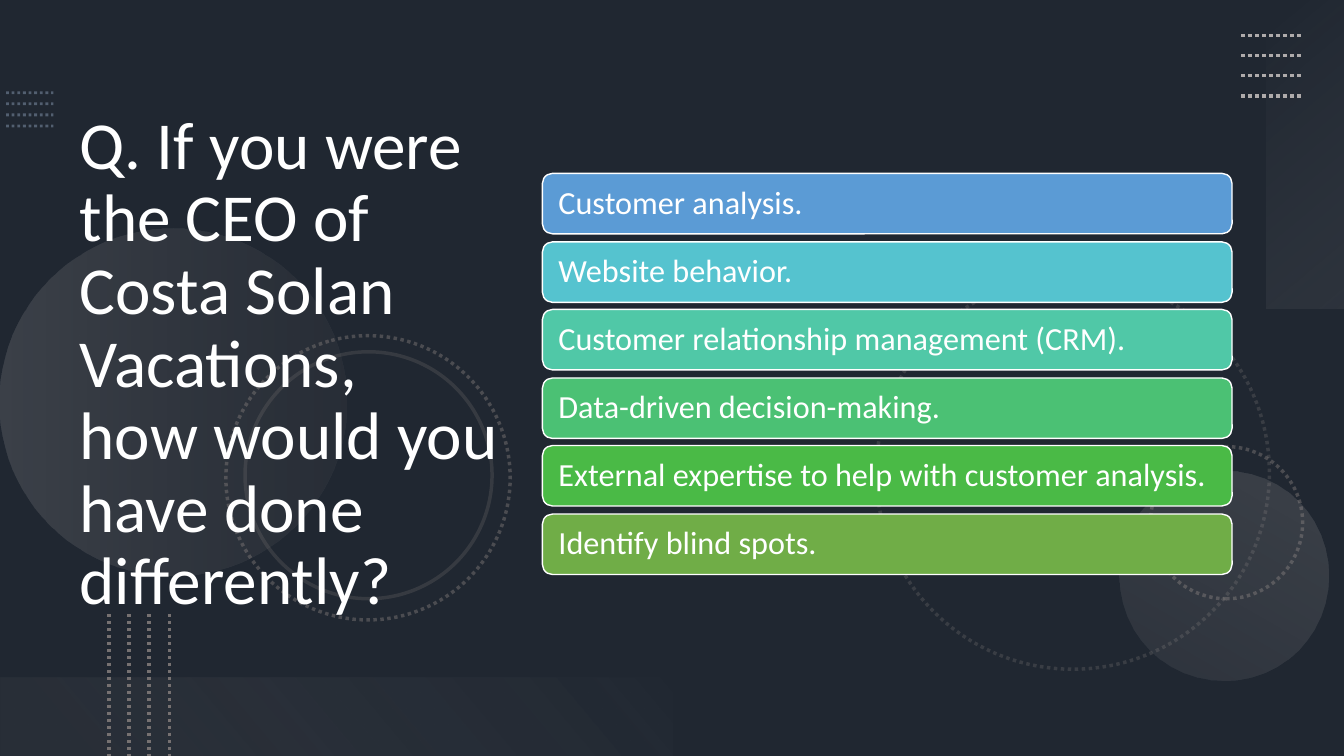
from dataclasses import dataclass

from lxml import etree
from pptx import Presentation
from pptx.dml.color import RGBColor
from pptx.enum.dml import MSO_LINE
from pptx.enum.shapes import MSO_CONNECTOR, MSO_SHAPE
from pptx.enum.text import MSO_ANCHOR, MSO_AUTO_SIZE, PP_ALIGN
from pptx.oxml.ns import qn
from pptx.util import Inches, Pt

RECT, ELLIPSE, ROUNDED = MSO_SHAPE.RECTANGLE, MSO_SHAPE.OVAL, MSO_SHAPE.ROUNDED_RECTANGLE
STRAIGHT, DOTTED = MSO_CONNECTOR.STRAIGHT, MSO_LINE.ROUND_DOT
LEFT, MIDDLE, NO_FIT = PP_ALIGN.LEFT, MSO_ANCHOR.MIDDLE, MSO_AUTO_SIZE.NONE
TITLE_ONLY = 5


@dataclass(frozen=True)
class Theme:
    font: str = "Calibri"
    title_size: float = 48
    answer_size: float = 23
    background: str = "44546A"
    shade: str = "000000"
    text: str = "FFFFFF"
    blue_dots: str = "8497B0"
    gray: str = "767171"
    light_gray: str = "AFABAB"
    pale: str = "F5F5F5"
    answers: tuple = ("5B9BD5", "55C3CF", "50C8A7", "4BC174", "4ABA46", "70AD47")


class SlideBuilder:
    def __init__(self, slide, theme):
        self.slide, self.theme = slide, theme
        fill = slide.background.fill
        fill.solid()
        fill.fore_color.rgb = RGBColor.from_string(theme.background)

    def _opacity(self, owner, percent):
        """Set the opacity of the colour inside a fill or line element."""
        if percent < 100:
            color = next(owner.iter(qn("a:srgbClr")))
            etree.SubElement(color, qn("a:alpha"), val=str(percent * 1000))

    def _stroke(self, line, color, width, dotted=False, opacity=100):
        line.color.rgb = RGBColor.from_string(color)
        line.width = Pt(width)
        if dotted:
            line.dash_style = DOTTED
        self._opacity(line._get_or_add_ln(), opacity)

    def _write(self, frame, text, size, margins):
        settings = {"word_wrap": True, "auto_size": NO_FIT, "vertical_anchor": MIDDLE,
                    "margin_left": Inches(margins[0]), "margin_right": Inches(margins[0]),
                    "margin_top": Inches(margins[1]), "margin_bottom": Inches(margins[1])}
        for name, value in settings.items():
            setattr(frame, name, value)
        frame.text = text
        paragraph = frame.paragraphs[0]
        paragraph.alignment, paragraph.line_spacing = LEFT, 0.9
        for run in paragraph.runs:
            for name, value in {"name": self.theme.font, "size": Pt(size)}.items():
                setattr(run.font, name, value)
            run.font.color.rgb = RGBColor.from_string(self.theme.text)

    def shape(self, kind, box, fill=None, opacity=100, line=None, rotation=0):
        shape = self.slide.shapes.add_shape(kind, *map(Inches, box))
        shape.shadow.inherit = False
        shape.rotation = rotation
        if fill:
            shape.fill.solid()
            shape.fill.fore_color.rgb = RGBColor.from_string(fill)
            self._opacity(shape._element.spPr.find(qn("a:solidFill")), opacity)
        else:
            shape.fill.background()
        if line:
            self._stroke(shape.line, **line)
        else:
            shape.line.fill.background()
        return shape

    def gradient(self, kind, box, stops, angle, rotation):
        shape = self.shape(kind, box, rotation=rotation)
        gradient = etree.Element(qn("a:gradFill"), rotWithShape="1")
        stop_list = etree.SubElement(gradient, qn("a:gsLst"))
        for position, color, opacity in stops:
            stop = etree.SubElement(stop_list, qn("a:gs"), pos=str(position * 1000))
            rgb = etree.SubElement(stop, qn("a:srgbClr"), val=color)
            etree.SubElement(rgb, qn("a:alpha"), val=str(opacity * 1000))
        etree.SubElement(gradient, qn("a:lin"), ang=str(angle * 60000), scaled="0")
        properties = shape._element.spPr
        properties.replace(properties.find(qn("a:noFill")), gradient)

    def dotted_rows(self, start, length, gap, vertical=False, **stroke):
        """Draw four parallel dotted lines at equal gaps."""
        for i in range(4):
            x = start[0] + (i * gap if vertical else 0)
            y = start[1] + (0 if vertical else i * gap)
            end = (x, y + length) if vertical else (x + length, y)
            row = self.slide.shapes.add_connector(STRAIGHT, *map(Inches, (x, y, *end)))
            self._stroke(row.line, dotted=True, **stroke)
            etree.SubElement(row._element.spPr, qn("a:effectLst"))

    def title(self, text, box):
        title = self.slide.shapes.title
        for name, value in zip(("left", "top", "width", "height"), box):
            setattr(title, name, Inches(value))
        self._write(title.text_frame, text, self.theme.title_size, (0.1, 0.05))
        self.slide.shapes._spTree.append(title._element)  # above the backdrop

    def answer(self, text, box, fill):
        bar = self.shape(ROUNDED, box, fill, line={"color": self.theme.text, "width": 1})
        self._write(bar.text_frame, text, self.theme.answer_size, (0.13, 0.05))


def main():
    deck = Presentation()
    deck.slide_width, deck.slide_height = Inches(13.33), Inches(7.5)
    theme = Theme()
    page = SlideBuilder(deck.slides.add_slide(deck.slide_layouts[TITLE_ONLY]), theme)

    # Dark shade and dots at the left edge
    page.shape(RECT, (0, 0, 13.33, 7.5), theme.shade, opacity=53)
    page.dotted_rows((0.06, 0.92), 0.47, 0.11, color=theme.blue_dots, width=2, opacity=50)

    # Rings: left, top, diameter, rotation, dotted, opacity
    rings = [(8.69, 2.74, 3.9, 75, True, 30), (11.41, 4.43, 1.51, 270, True, 50),
             (2.24, 3.33, 2.82, 75, True, 50), (2.43, 3.49, 2.45, 75, False, 25)]
    for left, top, diameter, rotation, dotted, opacity in rings:
        page.shape(ELLIPSE, (left, top, diameter, diameter), rotation=rotation,
                   line={"color": theme.gray, "width": 2.5, "dotted": dotted,
                         "opacity": opacity})

    # Translucent discs and corner bands
    page.gradient(ELLIPSE, (0, 2.27, 3.44, 3.44),
                  [(0, theme.light_gray, 20), (100, theme.gray, 10)], 90, 270)
    page.gradient(ELLIPSE, (11.1, 4.67, 2.08, 2.08),
                  [(0, theme.light_gray, 10), (100, theme.light_gray, 20)], 90, 210)
    page.gradient(RECT, (11.42, 1.14, 3.06, 0.78),
                  [(0, theme.pale, 0), (100, theme.light_gray, 10)], 140, 270)
    page.gradient(RECT, (0, 6.72, 6.67, 0.78),
                  [(10, theme.gray, 10), (100, theme.pale, 0)], 140, 180)

    # Corner dots
    page.dotted_rows((12.31, 0.35), 0.6, 0.2, color=theme.light_gray, width=2.5)
    page.dotted_rows((1.08, 6.09), 1.41, 0.2, vertical=True, color=theme.gray, width=2.5)

    # Question
    page.title("Q. If you were the CEO of Costa Solan Vacations,\v"
               "how would you have done differently?", (0.69, 0.54, 4.59, 6.17))

    # Answers
    answers = ["Customer analysis.", "Website behavior.",
               "Customer relationship management (CRM).", "Data-driven decision-making.",
               "External expertise to help with customer analysis.", "Identify blind spots."]
    pitch = 0.676
    for i, (answer, fill) in enumerate(zip(answers, theme.answers)):
        page.answer(answer, (5.38, round(1.72 + i * pitch, 2), 6.84, 0.6), fill)

    deck.save("out.pptx")


if __name__ == "__main__":
    main()
